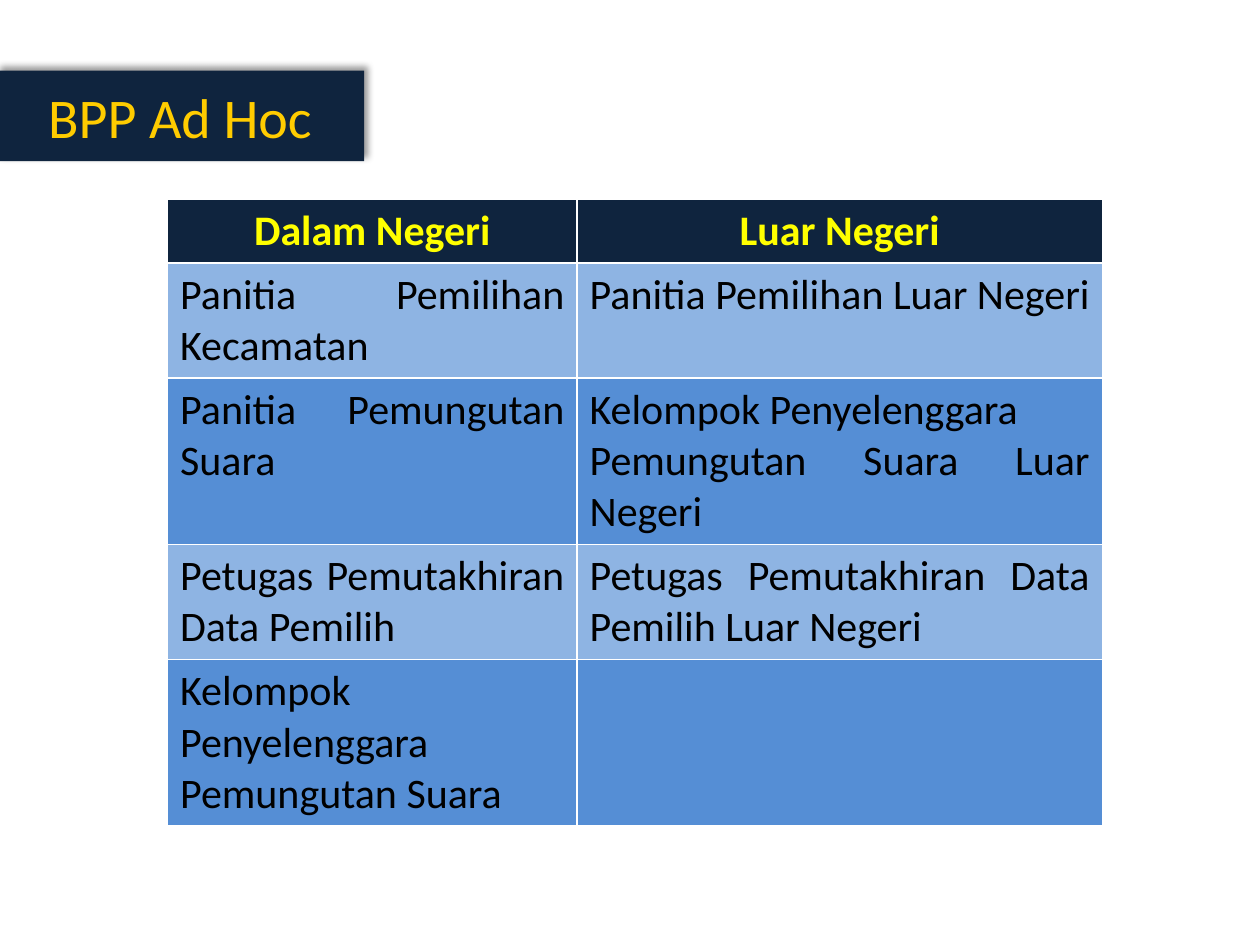
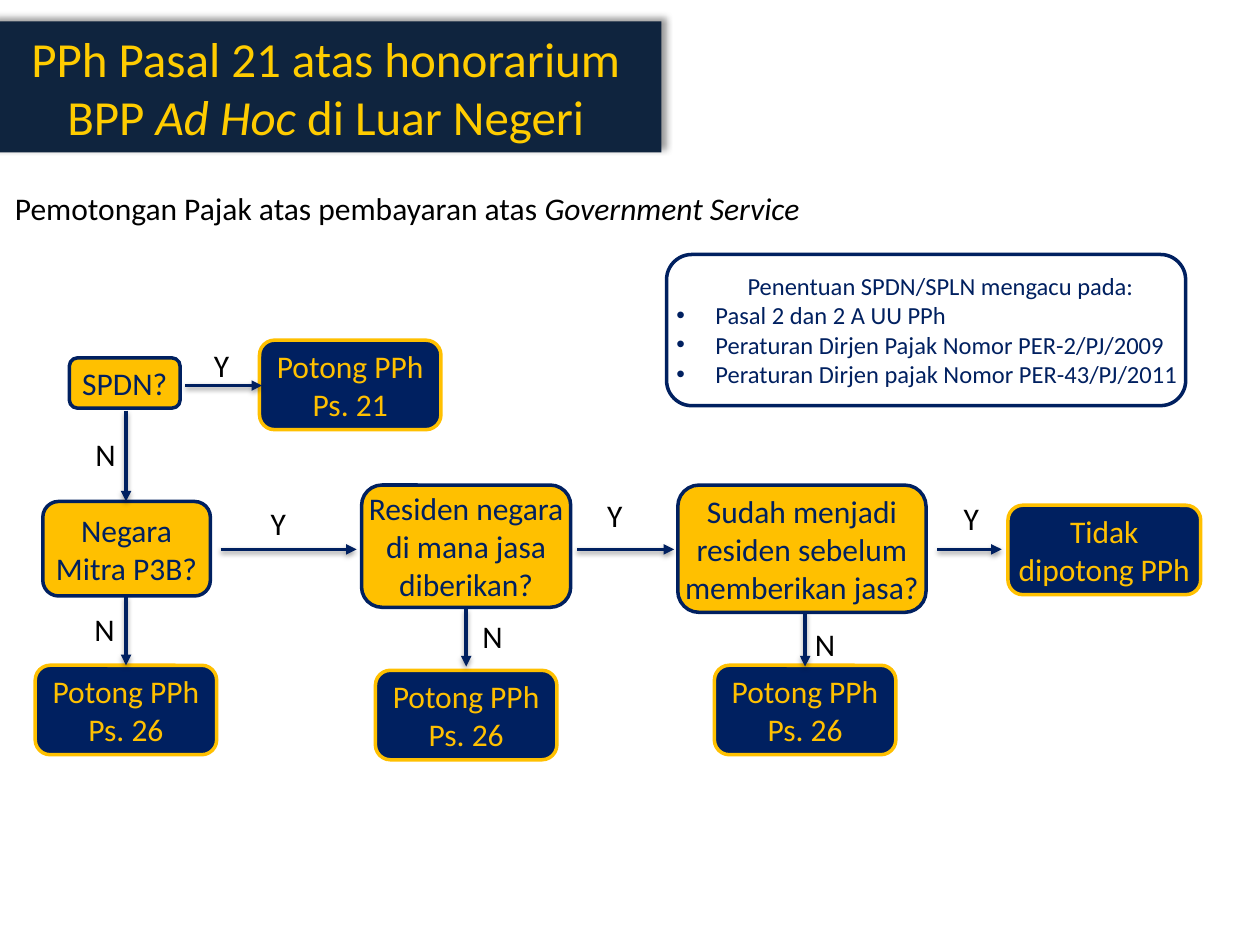
from lxml import etree
from pptx import Presentation
from pptx.dml.color import RGBColor
from pptx.enum.shapes import MSO_CONNECTOR, MSO_SHAPE
from pptx.enum.text import MSO_ANCHOR, MSO_AUTO_SIZE, PP_ALIGN
from pptx.oxml.ns import qn
from pptx.util import Inches, Pt

FONT = "Calibri"
BAND, BAND_TEXT = "0F243E", "FFCC00"
NAVY, AMBER, BLACK = "002060", "FFC000", "000000"
HEADER_TEXT, ROW_FILLS = "FFFF00", ("8EB4E3", "558ED5")


def rgb(value):
    return RGBColor.from_string(value)


def box_lengths(box):
    return [Inches(v) for v in box]


def add_run(p, text, size, color, bold=None, italic=None):
    r = p.add_run()
    r.text = text
    font = r.font
    font.name, font.size, font.bold, font.italic = FONT, Pt(size), bold, italic
    font.color.rgb = rgb(color)


def add_shadow(sp, alpha, blur, dist, angle):
    """Give a shape or connector a black outer shadow (per cent, points, degrees)."""
    effects = etree.SubElement(sp._element.spPr, qn("a:effectLst"))
    shadow = etree.SubElement(effects, qn("a:outerShdw"), blurRad=str(Pt(blur)),
                              dist=str(Pt(dist)), dir=str(angle * 60000), rotWithShape="0")
    color = etree.SubElement(shadow, qn("a:srgbClr"), val=BLACK)
    etree.SubElement(color, qn("a:alpha"), val=str(alpha * 1000))


def add_title_band(s, box, size, runs):
    """Turn the title placeholder into a dark band; runs are (text, italic)."""
    title = s.shapes.title
    title.left, title.top, title.width, title.height = box_lengths(box)
    title.fill.solid()
    title.fill.fore_color.rgb = rgb(BAND)
    title.line.fill.background()
    add_shadow(title, 40, 4, 3, 315)
    tf = title.text_frame
    tf.auto_size, tf.vertical_anchor = MSO_AUTO_SIZE.NONE, MSO_ANCHOR.MIDDLE
    p = tf.paragraphs[0]
    p.alignment = PP_ALIGN.CENTER
    for text, italic in runs:
        add_run(p, text, size, BAND_TEXT, italic=italic)


def add_label(s, box, runs, size=18):
    """Add one unwrapped line; runs are (text, italic)."""
    tf = s.shapes.add_textbox(*box_lengths(box)).text_frame
    tf.word_wrap, tf.auto_size = False, MSO_AUTO_SIZE.SHAPE_TO_FIT_TEXT
    for text, italic in runs:
        add_run(tf.paragraphs[0], text, size, BLACK, italic=italic)


def add_rounded(s, box, line, fill=None):
    sp = s.shapes.add_shape(MSO_SHAPE.ROUNDED_RECTANGLE, *box_lengths(box))
    sp.shadow.inherit = False
    if fill:
        sp.fill.solid()
        sp.fill.fore_color.rgb = rgb(fill)
    else:
        sp.fill.background()
    sp.line.color.rgb, sp.line.width = rgb(line), Pt(2)
    return sp


def add_node(s, box, text, fill, ink):
    """Add a flowchart box whose outline and text share one colour."""
    tf = add_rounded(s, box, ink, fill).text_frame
    tf.word_wrap, tf.vertical_anchor = True, MSO_ANCHOR.MIDDLE
    tf.margin_left = tf.margin_right = tf.margin_top = tf.margin_bottom = 0
    p = tf.paragraphs[0]
    p.alignment = PP_ALIGN.CENTER
    add_run(p, text, 18, ink)


def add_arrow(s, start, end):
    line = s.shapes.add_connector(MSO_CONNECTOR.STRAIGHT, *box_lengths(start + end))
    line.line.color.rgb, line.line.width = rgb(NAVY), Pt(2)
    etree.SubElement(line.line._get_or_add_ln(), qn("a:tailEnd"), type="triangle")
    add_shadow(line, 38, 3.1, 1.6, 90)


def add_reference_panel(s, box, heading, references):
    left, top, width, height = box
    add_rounded(s, box, NAVY)
    tf = s.shapes.add_textbox(*box_lengths((left - 0.02, top + 0.08, width + 0.27,
                                            height - 0.16))).text_frame
    tf.word_wrap = True
    p = tf.paragraphs[0]
    p.alignment = PP_ALIGN.CENTER
    add_run(p, heading, 14, NAVY)
    for reference in references:
        p = tf.add_paragraph()
        pPr = p._p.get_or_add_pPr()
        pPr.set("marL", str(Inches(0.31)))
        pPr.set("indent", str(Inches(-0.31)))
        etree.SubElement(pPr, qn("a:buFont"), typeface="Arial")
        etree.SubElement(pPr, qn("a:buChar"), char="•")
        add_run(p, reference, 14, NAVY)


def add_committee_table(s, box, widths, heights, rows):
    """Fill a table from rows of cells, each cell a list of paragraphs."""
    table = s.shapes.add_table(len(rows), len(widths), *box_lengths(box)).table
    for column, width in zip(table.columns, widths):
        column.width = Inches(width)
    for i, (row, height) in enumerate(zip(rows, heights)):
        header = i == 0
        table.rows[i].height = Inches(height)
        for j, paragraphs in enumerate(row):
            cell = table.cell(i, j)
            cell.fill.solid()
            cell.fill.fore_color.rgb = rgb(BAND if header else ROW_FILLS[(i - 1) % 2])
            tf = cell.text_frame
            for k, text in enumerate(paragraphs):
                p = tf.add_paragraph() if k else tf.paragraphs[0]
                p.alignment = PP_ALIGN.CENTER if header else PP_ALIGN.JUSTIFY
                add_run(p, text, 24, HEADER_TEXT if header else BLACK, bold=header)


def build_committee_slide(s):
    add_title_band(s, (-0.03, 0.56, 2.92, 0.72), 32, [("BPP Ad Hoc", None)])
    add_committee_table(s, (1.33, 1.58, 7.42, 4.96), (3.25, 4.17),
                        (0.5, 0.91, 1.32, 0.91, 1.32), [
        (["Dalam Negeri"], ["Luar Negeri"]),
        (["Panitia Pemilihan Kecamatan"], ["Panitia Pemilihan Luar Negeri"]),
        (["Panitia Pemungutan Suara"],
         ["Kelompok Penyelenggara", "Pemungutan Suara Luar Negeri"]),
        (["Petugas Pemutakhiran Data Pemilih"],
         ["Petugas Pemutakhiran Data Pemilih Luar Negeri"]),
        (["Kelompok Penyelenggara", "Pemungutan Suara"], []),
    ])


def add_tax_flowchart(s, left, top):
    """Draw the decision flow, with all positions measured from its top left corner."""
    def at(x, y, *size):
        return (left + x, top + y) + size

    questions = [
        (0.27, 0.14, 0.88, 0.4, "SPDN?"),
        (0.06, 1.28, 1.33, 0.75, "Negara Mitra P3B?"),
        (2.59, 1.15, 1.66, 0.97, "Residen negara di mana jasa diberikan?"),
        (5.1, 1.15, 1.97, 1.01, "Sudah menjadi residen sebelum memberikan jasa?"),
    ]
    outcomes = [
        (1.78, 0, 1.44, "Potong PPh Ps. 21"),
        (0, 2.58, 1.44, "Potong PPh Ps. 26"),
        (2.7, 2.62, 1.44, "Potong PPh Ps. 26"),
        (5.39, 2.58, 1.44, "Potong PPh Ps. 26"),
        (7.72, 1.31, 1.53, "Tidak dipotong PPh"),
    ]
    for x, y, width, height, text in questions:
        add_node(s, at(x, y, width, height), text, AMBER, NAVY)
    for x, y, width, text in outcomes:
        add_node(s, at(x, y, width, 0.71), text, NAVY, AMBER)

    across = [(1.19, 1.8, 0.36), (1.47, 2.55, 1.66), (4.3, 5.07, 1.66), (7.16, 7.67, 1.66)]
    down = [(0.72, 0.56, 1.28), (0.72, 2.03, 2.58), (3.42, 2.13, 2.59), (6.11, 2.16, 2.59)]
    for x1, x2, y in across:
        add_arrow(s, at(x1, y), at(x2, y))
    for x, y1, y2 in down:
        add_arrow(s, at(x, y1), at(x, y2))

    answers = {
        "Y": [(1.32, 0), (1.77, 1.25), (4.44, 1.19), (7.27, 1.21)],
        "N": [(0.38, 0.7), (0.37, 2.09), (3.45, 2.15), (6.09, 2.21)],
    }
    for answer, spots in answers.items():
        for x, y in spots:
            add_label(s, at(x, y, 0.34, 0.4), [(answer, None)])


def build_tax_slide(s):
    add_title_band(s, (-0.08, 0.17, 5.33, 1.04), 28, [
        ("PPh Pasal 21 atas honorarium BPP ", None), ("Ad Hoc ", True),
        ("di Luar Negeri", None)])
    add_label(s, (0.02, 1.45, 6.49, 0.4), [
        ("Pemotongan Pajak atas pembayaran atas ", None), ("Government Service", True)])
    add_tax_flowchart(s, 0.28, 2.7)
    add_reference_panel(s, (5.29, 2.02, 4.12, 1.2), "Penentuan SPDN/SPLN mengacu pada:", [
        "Pasal 2 dan 2 A UU PPh",
        "Peraturan Dirjen Pajak Nomor PER-2/PJ/2009",
        "Peraturan Dirjen pajak Nomor PER-43/PJ/2011"])


def main():
    prs = Presentation()
    prs.slide_width, prs.slide_height = Inches(10), Inches(7.5)
    title_only = prs.slide_layouts[5]
    for build in (build_committee_slide, build_tax_slide):
        build(prs.slides.add_slide(title_only))
    prs.save("out.pptx")


if __name__ == "__main__":
    main()
